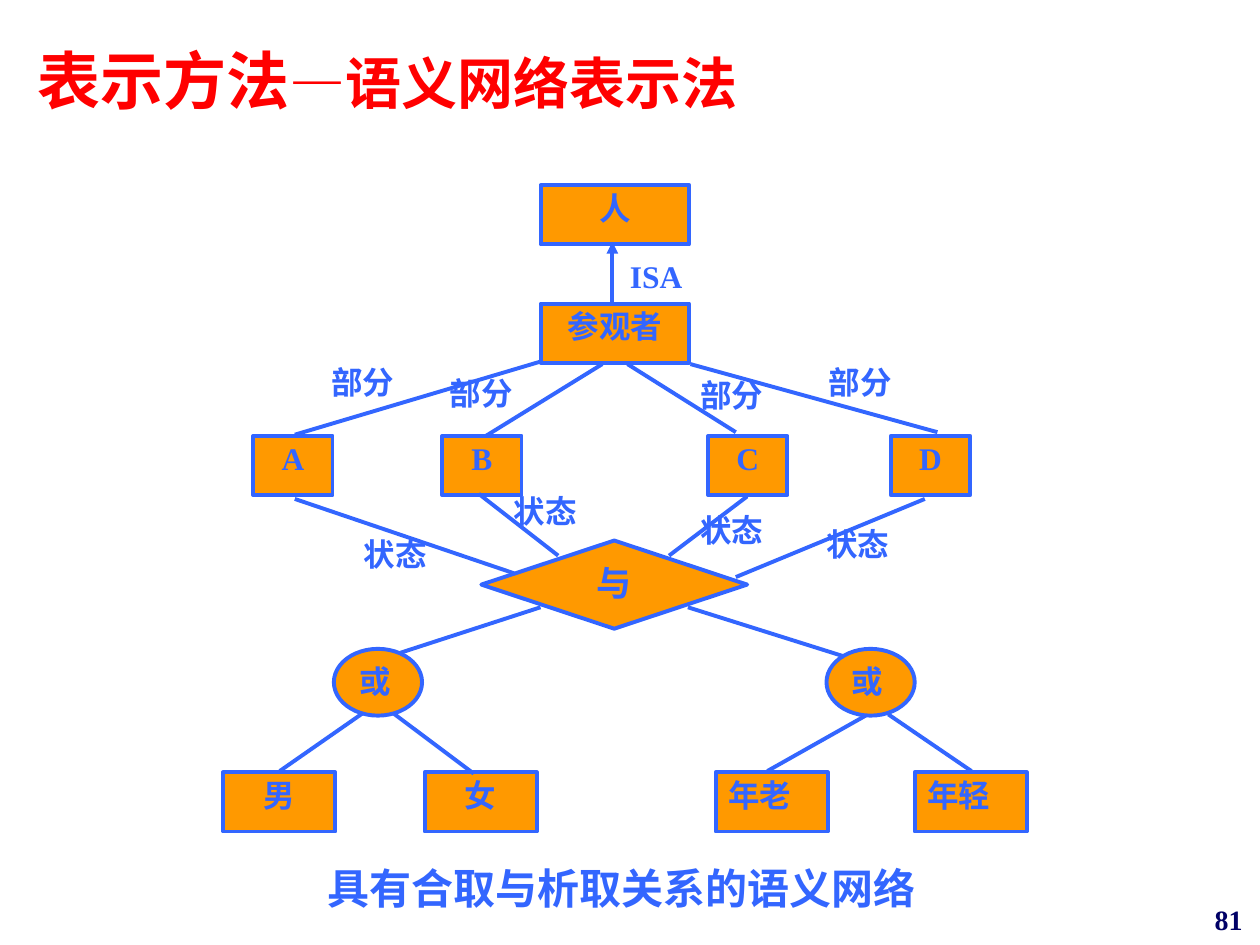
from lxml.etree import SubElement
from pptx import Presentation
from pptx.dml.color import RGBColor
from pptx.enum.shapes import MSO_CONNECTOR, MSO_SHAPE
from pptx.enum.text import MSO_ANCHOR, MSO_AUTO_SIZE, PP_ALIGN
from pptx.oxml.ns import qn
from pptx.util import Inches, Pt

BLUE = RGBColor(0x33, 0x66, 0xFF)
ORANGE = RGBColor(0xFF, 0x99, 0x00)
RED = RGBColor(0xFF, 0x00, 0x00)
NAVY = RGBColor(0x00, 0x00, 0x66)
SERIF, SANS, HEAD = "Times New Roman", "Noto Sans CJK SC", "Arial"
BODY = {"name": SERIF, "size": Pt(18), "bold": True}
NODE_H = 0.47
LABEL_W, LABEL_H = 0.89, 0.42


def inches(*values):
    """Convert numbers to lengths."""
    return [Inches(v) for v in values]


def add_run(p, text, color=BLUE, **fmt):
    """Append a formatted run to a paragraph."""
    r = p.add_run()
    r.text = text
    for key, value in {**BODY, **fmt}.items():
        setattr(r.font, key, value)
    r.font.color.rgb = color
    if r.font.name == SANS:
        SubElement(r.font._element, qn("a:ea")).set("typeface", SANS)


def set_frame(tf, align, spacing=None, margins=(0.1, 0.05)):
    """Prepare a text frame and return its first paragraph."""
    side, edge = inches(*margins)
    frame = {"word_wrap": True, "auto_size": MSO_AUTO_SIZE.NONE,
             "vertical_anchor": MSO_ANCHOR.TOP, "margin_left": side,
             "margin_right": side, "margin_top": edge, "margin_bottom": edge}
    for key, value in frame.items():
        setattr(tf, key, value)
    p = tf.paragraphs[0]
    p.alignment = align
    p.line_spacing = spacing
    return p


def add_node(s, kind, box, text, align=PP_ALIGN.CENTER, size=18):
    """Draw an orange node with its text."""
    sp = s.shapes.add_shape(kind, *inches(*box))
    sp.shadow.inherit = False
    sp.fill.solid()
    sp.fill.fore_color.rgb = ORANGE
    sp.line.color.rgb = BLUE
    sp.line.width = Pt(2.25)
    add_run(set_frame(sp.text_frame, align, Pt(20)), text, size=Pt(size))


def add_label(s, box, text, align=PP_ALIGN.LEFT, margins=(0.1, 0.05),
              spacing=Pt(20), color=BLUE, **fmt):
    """Place a text box."""
    tf = s.shapes.add_textbox(*inches(*box)).text_frame
    add_run(set_frame(tf, align, spacing, margins), text, color, **fmt)


def add_edge(s, x, y, ends, arrow=False):
    """Draw a line whose ends are relative to x, y."""
    x1, y1, x2, y2 = ends
    c = s.shapes.add_connector(MSO_CONNECTOR.STRAIGHT,
                               *inches(x + x1, y + y1, x + x2, y + y2))
    c.line.color.rgb = BLUE
    c.line.width = Pt(2.25)
    if arrow:
        SubElement(c.line._get_or_add_ln(), qn("a:tailEnd")).set("type", "triangle")
    SubElement(c._element.spPr, qn("a:effectLst"))


def add_links(s, x, y, text, links):
    """Draw edges that share one label text."""
    for ends, (dx, dy) in links:
        add_edge(s, x, y, ends)
        add_label(s, (x + dx, y + dy, LABEL_W, LABEL_H), text)


def add_title(s, box):
    """Fill the title placeholder."""
    sp = s.shapes.title
    sp.left, sp.top, sp.width, sp.height = inches(*box)
    p = set_frame(sp.text_frame, PP_ALIGN.LEFT)
    for text, name, size in (("表示方法", SANS, 36), ("—", HEAD, 32),
                             ("语义网络表示法", SANS, 32)):
        add_run(p, text, RED, name=name, size=Pt(size))


def add_visitor(s, box):
    """Draw the person and visitor nodes joined by ISA."""
    x, y, w, h = box
    for top, text in ((y + h - NODE_H, "参观者"), (y, "人")):
        add_node(s, MSO_SHAPE.RECTANGLE, (x, top, w, NODE_H), text)
    add_edge(s, x, y, (0.57, 0.93, 0.57, 0.45), arrow=True)
    add_label(s, (x + 0.71, y + 0.59, 0.43, 0.26), "ISA", margins=(0, 0))


def add_parts(s, box):
    """Draw the four parts and their links to the visitor."""
    x, y, w, h = box
    add_links(s, x, y, "部分", (
        ((0.33, 0.6, 2.28, 0.02), (0.52, 0)),
        ((1.83, 0.62, 2.77, 0.04), (1.46, 0.09)),
        ((3.83, 0.58, 2.97, 0.04), (3.45, 0.11)),
        ((5.43, 0.58, 3.47, 0.04), (4.47, 0))))
    node_w = 0.63
    for text, dx in zip("ABCD", (0, 1.5, 3.61, w - node_w)):
        add_node(s, MSO_SHAPE.RECTANGLE,
                 (x + dx, y + h - NODE_H, node_w, NODE_H), text)


def add_states(s, box):
    """Draw the conjunction and its links to the parts."""
    x, y, w, h = box
    add_node(s, MSO_SHAPE.FLOWCHART_DECISION,
             (x + 1.48, y + h - 0.7, 2.11, 0.7), "与", size=20)
    add_links(s, x, y, "状态", (
        ((0, 0.08, 1.74, 0.67), (0.45, 0.34)),
        ((1.46, 0.04, 2.09, 0.53), (1.64, 0)),
        ((3.59, 0.06, 2.97, 0.53), (3.12, 0.15)),
        ((5, 0.08, 3.5, 0.7), (4.12, 0.26))))


def add_choice(s, box, leaves, align, edges):
    """Draw a disjunction with its two leaves."""
    x, y, w, h = box
    add_node(s, MSO_SHAPE.OVAL, (x + 0.88, y + 0.33, 0.7, 0.53), "或",
             PP_ALIGN.LEFT)
    leaf_w = 0.89
    for text, dx in zip(leaves, (0, w - leaf_w)):
        add_node(s, MSO_SHAPE.RECTANGLE,
                 (x + dx, y + h - NODE_H, leaf_w, NODE_H), text, align)
    for ends in edges:
        add_edge(s, x, y, ends)


def main():
    """Build the slide and save it."""
    prs = Presentation()
    prs.slide_width, prs.slide_height = inches(10, 7.5)
    s = prs.slides.add_slide(prs.slide_layouts[5])
    add_title(s, (0.2, 0.28, 8.5, 0.98))
    add_visitor(s, (4.29, 1.47, 1.18, 1.41))
    add_parts(s, (2.01, 2.85, 5.69, 1.08))
    add_states(s, (2.34, 3.88, 5.01, 1.11))
    add_choice(s, (1.77, 4.82, 2.49, 1.78), ("男", "女"), PP_ALIGN.CENTER,
               ((1.41, 0.36, 2.52, 0), (0.45, 1.3, 1.11, 0.84),
                (1.99, 1.32, 1.35, 0.84)))
    add_choice(s, (5.68, 4.82, 2.47, 1.78), ("年老", "年轻"), PP_ALIGN.LEFT,
               ((1.02, 0.39, -0.22, 0), (0.41, 1.3, 1.19, 0.86),
                (2.03, 1.3, 1.37, 0.85)))
    add_label(s, (2.24, 6.92, 5.39, 0.53), "具有合取与析取关系的语义网络",
              PP_ALIGN.CENTER, name=SANS, size=Pt(24))
    add_label(s, (7.88, 7.11, 2.08, 0.39), "81", PP_ALIGN.RIGHT,
              spacing=None, color=NAVY, size=Pt(16))
    prs.save("out.pptx")


if __name__ == "__main__":
    main()
